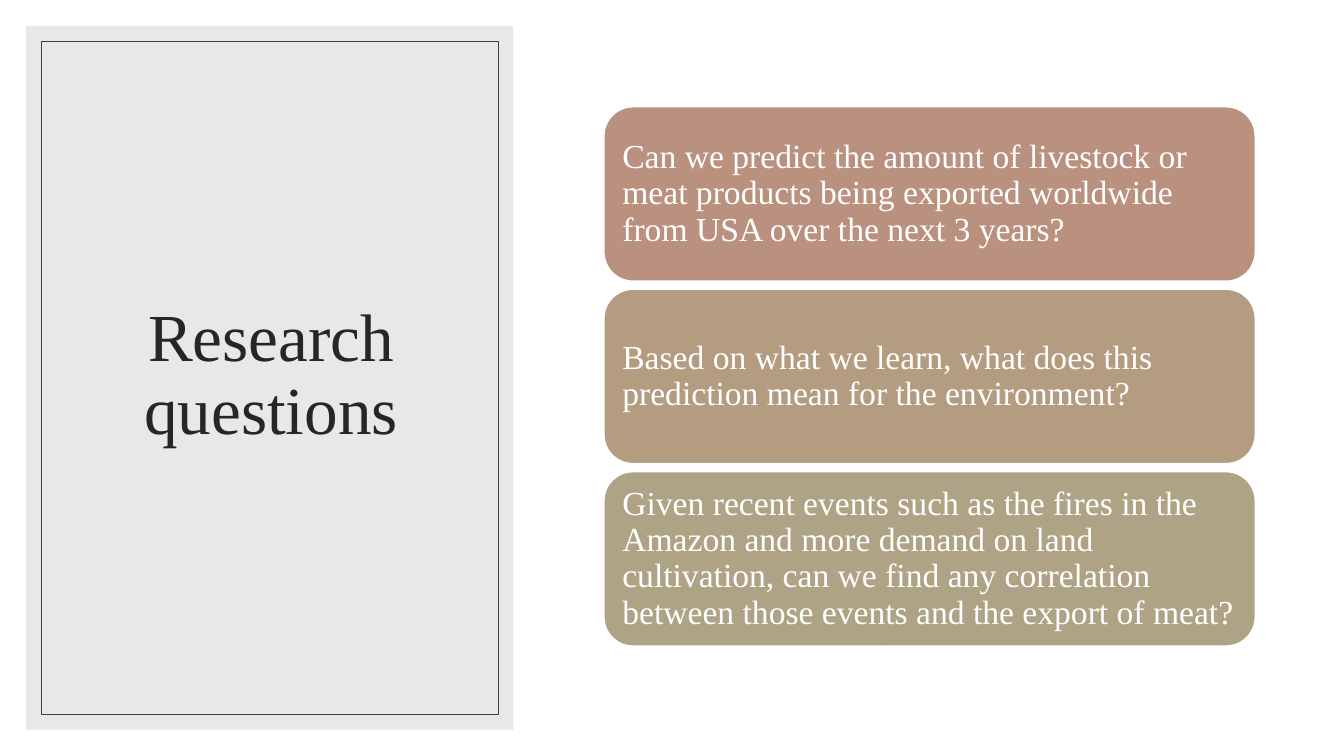
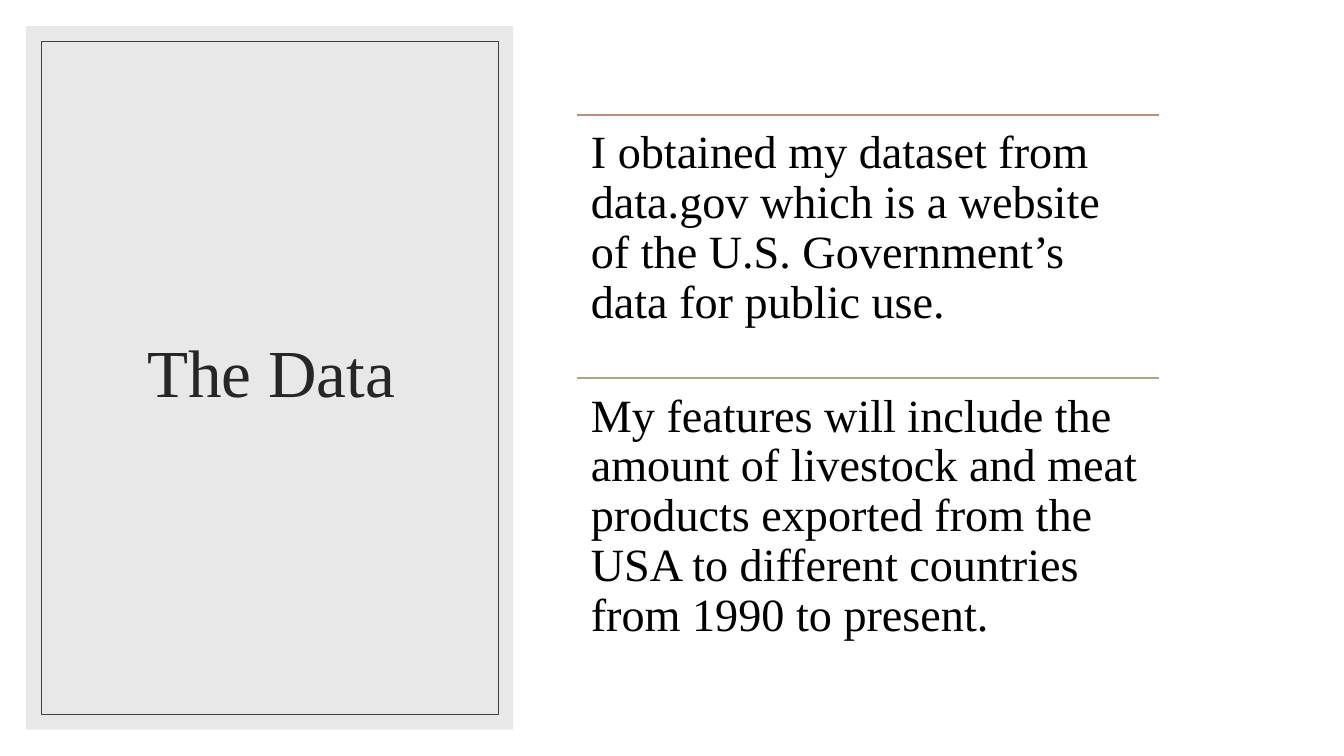
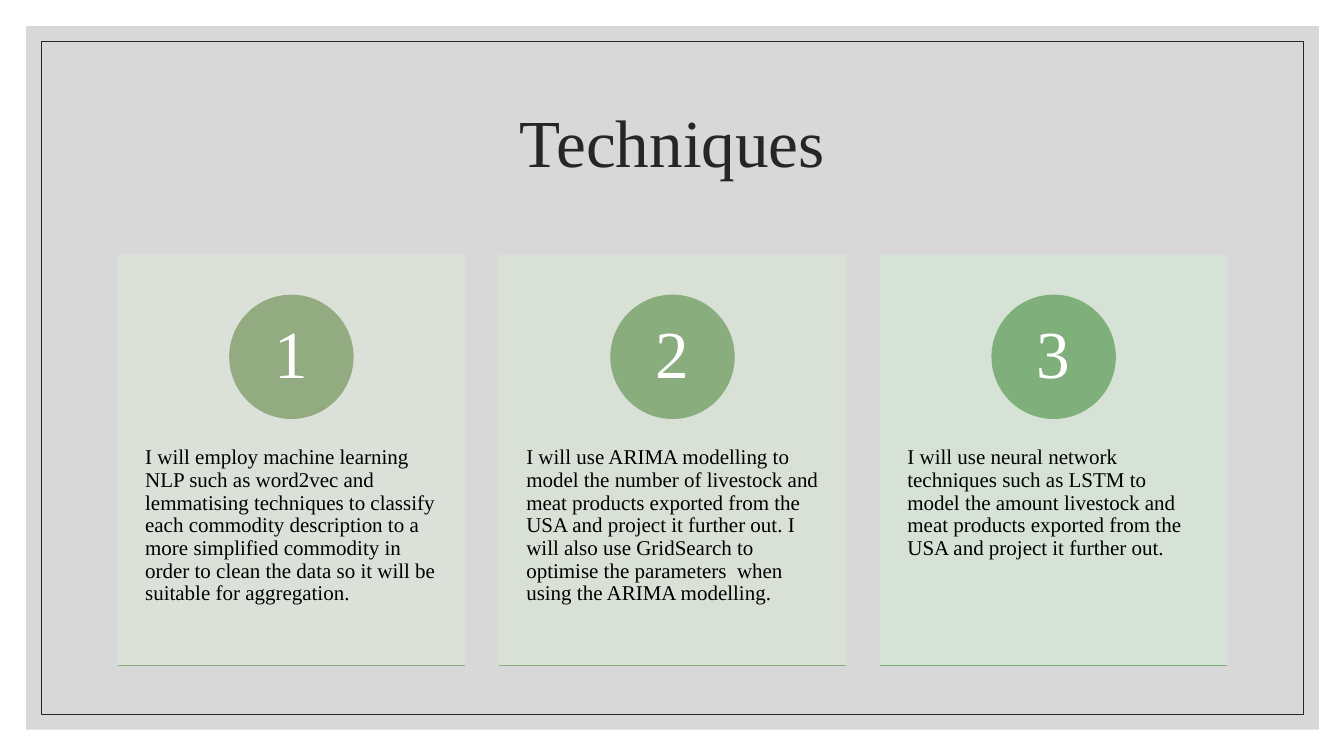
from pptx import Presentation
from pptx.dml.color import RGBColor
from pptx.enum.shapes import MSO_CONNECTOR, MSO_SHAPE
from pptx.enum.text import MSO_ANCHOR, MSO_AUTO_SIZE, PP_ALIGN
from pptx.oxml.ns import qn
from pptx.util import Inches, Pt
from lxml import etree


def rgb(value):
    return RGBColor.from_string(value)


class Deck:
    FONT = "Times New Roman"
    TITLE_COLOR = "262626"
    WHITE, BLACK = "FFFFFF", "000000"
    MARGIN, PANEL_HEIGHT, FRAME_GAP = 0.26, 6.98, 0.15

    def __init__(self):
        self.prs = Presentation()
        self.prs.slide_width, self.prs.slide_height = Inches(13.33), Inches(7.5)
        self.slide = None

    def new_slide(self, title, title_box, panel_width, panel_fill, frame_color):
        """Start a slide with a tinted panel, a thin frame and a title."""
        self.slide = self.prs.slides.add_slide(self.prs.slide_layouts[5])
        heading = self.slide.shapes.title
        heading.left, heading.top, heading.width, heading.height = map(Inches, title_box)
        self.set_text(heading, title, 48, self.TITLE_COLOR, align=PP_ALIGN.CENTER)

        panel = self.shape(MSO_SHAPE.RECTANGLE, (self.MARGIN, self.MARGIN, panel_width,
                           self.PANEL_HEIGHT), fill=panel_fill, opacity=60)
        inner = self.MARGIN + self.FRAME_GAP
        frame = self.shape(MSO_SHAPE.RECTANGLE, (inner, inner, panel_width - 2 * self.FRAME_GAP,
                           self.PANEL_HEIGHT - 2 * self.FRAME_GAP), line=frame_color, weight=0.5)
        # The panel and frame lie behind the title
        for backdrop in (panel, frame):
            heading.element.addprevious(backdrop.element)

    def shape(self, kind, box, fill=None, line=None, weight=1, opacity=100):
        shape = self.slide.shapes.add_shape(kind, *map(Inches, box))
        shape.shadow.inherit = False
        if fill:
            shape.fill.solid()
            shape.fill.fore_color.rgb = rgb(fill)
        else:
            shape.fill.background()
        if line:
            shape.line.color.rgb = rgb(line)
            shape.line.width = Pt(weight)
        else:
            shape.line.fill.background()
        if opacity < 100:
            for color in shape.element.spPr.iter(qn("a:srgbClr")):
                etree.SubElement(color, qn("a:alpha"), val=str(opacity * 1000))
        return shape

    def set_text(self, shape, text, size, color, insets=(0.1, 0.05, 0.1, 0.05),
                 anchor=MSO_ANCHOR.MIDDLE, align=PP_ALIGN.LEFT):
        frame = shape.text_frame
        left, top, right, bottom = map(Inches, insets)
        frame_format = {"margin_left": left, "margin_top": top, "margin_right": right,
                        "margin_bottom": bottom, "word_wrap": True,
                        "auto_size": MSO_AUTO_SIZE.NONE, "vertical_anchor": anchor}
        for name, value in frame_format.items():
            setattr(frame, name, value)
        paragraph = frame.paragraphs[0]
        paragraph.alignment, paragraph.line_spacing = align, 0.9
        run = paragraph.add_run()
        run.text = text
        for name, value in {"name": self.FONT, "size": Pt(size)}.items():
            setattr(run.font, name, value)
        run.font.color.rgb = rgb(color)

    def text(self, box, text, size, color, **style):
        self.set_text(self.slide.shapes.add_textbox(*map(Inches, box)), text, size, color, **style)

    def rule(self, left, top, width, color):
        rule = self.slide.shapes.add_connector(
            MSO_CONNECTOR.STRAIGHT, *map(Inches, (left, top, left + width, top)))
        rule.line.color.rgb = rgb(color)
        rule.line.width = Pt(1)
        etree.SubElement(rule.element.spPr, qn("a:effectLst"))


SIDE_STYLE = {"title_box": (0.63, 0.61, 4.12, 6.24), "panel_width": 4.83,
              "panel_fill": "D9D9D9", "frame_color": "404040"}


def research_questions(deck):
    deck.new_slide("Research questions", **SIDE_STYLE)
    questions = [
        ("BA917F", "Can we predict the amount of livestock or meat products being exported "
                   "worldwide from USA over the next 3 years?"),
        ("B49C81", "Based on what we learn, what does this prediction mean for the environment?"),
        ("AEA384", "Given recent events such as the fires in the Amazon and more demand on land "
                   "cultivation, can we find any correlation between those events and the "
                   "export of meat?"),
    ]
    for row, (color, question) in enumerate(questions):
        bar = deck.shape(MSO_SHAPE.ROUNDED_RECTANGLE, (5.99, 1.06 + row * 1.81, 6.46, 1.73),
                         fill=color, line=deck.WHITE)
        deck.set_text(bar, question, 24, deck.WHITE, insets=(0.1,) * 4)


def the_data(deck):
    deck.new_slide("The Data", **SIDE_STYLE)
    left, width, height = 5.72, 5.78, 2.61
    facts = [
        ("BA917F", "I obtained my dataset from data.gov which is a website of the U.S. "
                   "Government’s data for public use."),
        ("AEA384", "My features will include the amount of livestock and meat products exported "
                   "from the USA to different countries from 1990 to present."),
    ]
    for row, (color, fact) in enumerate(facts):
        top = 1.14 + row * height
        deck.rule(left, top, width, color)
        deck.text((left, top, width, height), fact, 33, deck.BLACK,
                  insets=(0.14,) * 4, anchor=MSO_ANCHOR.TOP)


def techniques(deck):
    deck.new_slide("Techniques", (1.17, 0.7, 11, 1.5), 12.82, "BFBFBF", "262626")
    top, width, height, badge_size = 2.53, 3.44, 4.07, 1.22
    # Card, badge and base line colours, then the text
    cards = [
        ("DCE2D8", "93AB81", "8FAC7F",
         "I will employ machine learning NLP such as word2vec and lemmatising techniques to "
         "classify each commodity description to a more simplified commodity in order to clean "
         "the data so it will be suitable for aggregation."),
        ("DAE3D7", "8AAD7D", "85AE7C",
         "I will use ARIMA modelling to model the number of livestock and meat products exported "
         "from the USA and project it further out. I will also use GridSearch to optimise the "
         "parameters  when using the ARIMA modelling."),
        ("D7E4D6", "7FAF7A", "79B078",
         "I will use neural network techniques such as LSTM to model the amount livestock and "
         "meat products exported from the USA and project it further out."),
    ]
    for column, (card_color, badge_color, base_color, technique) in enumerate(cards):
        left = 1.17 + column * 3.78
        card = deck.shape(MSO_SHAPE.RECTANGLE, (left, top, width, height),
                          fill=card_color, line=card_color, opacity=90)
        deck.set_text(card, technique, 15, deck.BLACK, insets=(0.27, 1.9, 0.27, 0.36),
                      anchor=MSO_ANCHOR.TOP)
        badge = deck.shape(MSO_SHAPE.OVAL, (left + (width - badge_size) / 2, top + 0.4,
                           badge_size, badge_size), fill=badge_color, line=badge_color)
        deck.set_text(badge, str(column + 1), 48, deck.WHITE, insets=(0.1, 0.01, 0.1, 0.01),
                      align=PP_ALIGN.CENTER)
        deck.rule(left, top + height, width, base_color)


def main():
    deck = Deck()
    for build in (research_questions, the_data, techniques):
        build(deck)
    deck.prs.save("out.pptx")


if __name__ == "__main__":
    main()
